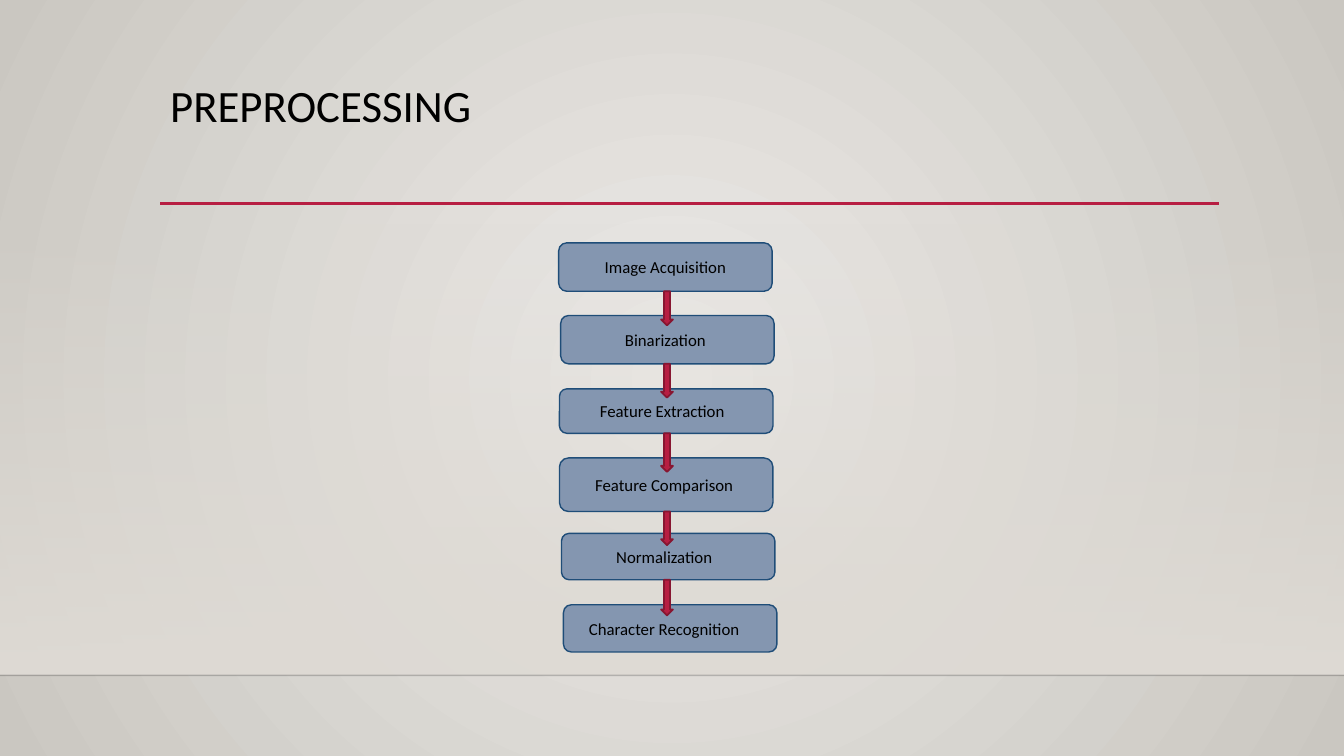
from lxml import etree
from pptx import Presentation
from pptx import util as u
from pptx.dml.color import RGBColor
from pptx.enum import shapes, text
from pptx.oxml.ns import qn

BLACK = RGBColor(0x00, 0x00, 0x00)
FLOOR_LINE = RGBColor(0x00, 0x00, 0x01)
PALE = RGBColor(0xEC, 0xEA, 0xE7)
GREY = RGBColor(0xCA, 0xC7, 0xC1)
WALL = RGBColor(0xDF, 0xDB, 0xD5)
CRIMSON = RGBColor(0xB7, 0x1E, 0x42)
DARK_CRIMSON = RGBColor(0x87, 0x16, 0x31)
STEEL = RGBColor(0x84, 0x96, 0xB0)
NAVY = RGBColor(0x1F, 0x4D, 0x78)

WIDTH, HEIGHT = 33.87, 19.05
BOX_WIDTH = 5.38
ARROW_LEFT, ARROW_WIDTH = 16.66, 0.3

# label, left, top, height, extra right inset, overlap of the arrow coming in
STEPS = [
    ("Image Acquisition", 14.08, 6.12, 1.22, 0, 0),
    ("Binarization", 14.13, 7.95, 1.22, 0.1, 0.25),
    ("Feature Extraction", 14.1, 9.8, 1.12, 0.2, 0.22),
    ("Feature Comparison", 14.1, 11.54, 1.35, 0.1, 0.35),
    ("Normalization", 14.15, 13.44, 1.17, 0.2, 0.3),
    ("Character Recognition", 14.2, 15.24, 1.19, 0.3, 0.27),
]


class SlideBuilder:
    font = {"name": "Calibri", "color": BLACK}

    def __init__(self, presentation):
        self.slide = presentation.slides.add_slide(presentation.slide_layouts[6])

    def set_alpha(self, properties, percent):
        color = properties.find(".//" + qn("a:srgbClr"))
        etree.SubElement(color, qn("a:alpha"), val=str(percent * 1000))

    def gradient(self, fill, start, end):
        fill.gradient()
        for stop, position, color in zip(fill.gradient_stops, (0, 1), (start, end)):
            stop.position = position
            stop.color.rgb = color

    def background(self, center, edge):
        self.gradient(self.slide.background.fill, center, edge)
        gradient = self.slide.element.find(".//" + qn("a:gradFill"))
        gradient.remove(gradient.find(qn("a:lin")))
        circle = etree.SubElement(gradient, qn("a:path"), {"path": "circle"})
        etree.SubElement(circle, qn("a:fillToRect"), dict.fromkeys("ltrb", "50000"))

    def shape(self, kind, left, top, width, height, fill=None, line=None, weight=1):
        shape = self.slide.shapes.add_shape(
            kind, u.Cm(left), u.Cm(top), u.Cm(width), u.Cm(height))
        shape.shadow.inherit = False
        if fill is not None:
            shape.fill.solid()
            shape.fill.fore_color.rgb = fill
        if line is None:
            shape.line.fill.background()
        else:
            shape.line.color.rgb = line
            shape.line.width = u.Pt(weight)
        return shape

    def wall(self, top, height, color):
        shape = self.shape(shapes.MSO_SHAPE.RECTANGLE, 0, top, WIDTH, height)
        self.gradient(shape.fill, color, color)
        shape.fill.gradient_angle = 270
        self.set_alpha(shape.element.spPr, 0)

    def rule(self, left, right, y, color, weight, alpha=100):
        connector = self.slide.shapes.add_connector(
            shapes.MSO_CONNECTOR.STRAIGHT, u.Cm(left), u.Cm(y), u.Cm(right), u.Cm(y))
        connector.line.color.rgb = color
        connector.line.width = u.Pt(weight)
        properties = connector.element.spPr
        if alpha < 100:
            self.set_alpha(properties, alpha)
        etree.SubElement(properties, qn("a:effectLst"))

    def add_words(self, shape, words, size, align, anchor, spacing=1.0, extra_inset=0):
        frame = shape.text_frame
        frame_format = {"word_wrap": True, "vertical_anchor": anchor,
                        "margin_right": u.Cm(0.25 + extra_inset)}
        for name, value in frame_format.items():
            setattr(frame, name, value)
        paragraph = frame.paragraphs[0]
        for name, value in {"alignment": align, "line_spacing": spacing}.items():
            setattr(paragraph, name, value)
        run = paragraph.add_run()
        run.text = words
        for name, value in {"name": self.font["name"], "size": u.Pt(size)}.items():
            setattr(run.font, name, value)
        run.font.color.rgb = self.font["color"]

    def title(self, words, left, top, width, height):
        box = self.slide.shapes.add_textbox(
            u.Cm(left), u.Cm(top), u.Cm(width), u.Cm(height))
        self.add_words(box, words, 32, text.PP_ALIGN.LEFT, text.MSO_ANCHOR.TOP,
                       spacing=0.9)

    def step(self, label, left, top, height, extra_inset):
        box = self.shape(shapes.MSO_SHAPE.ROUNDED_RECTANGLE,
                         left, top, BOX_WIDTH, height, STEEL, NAVY)
        self.add_words(box, label, 12, text.PP_ALIGN.CENTER, text.MSO_ANCHOR.MIDDLE,
                       extra_inset=extra_inset)

    def arrow(self, top, bottom):
        self.shape(shapes.MSO_SHAPE.DOWN_ARROW, ARROW_LEFT, top, ARROW_WIDTH,
                   bottom - top, CRIMSON, DARK_CRIMSON, 1.25)


def main():
    presentation = Presentation()
    presentation.slide_width = u.Cm(WIDTH)
    presentation.slide_height = u.Cm(HEIGHT)
    builder = SlideBuilder(presentation)

    # Backdrop and rules
    builder.background(PALE, GREY)
    builder.wall(5.61, 11.4, WALL)
    builder.rule(0, WIDTH, 17.02, FLOOR_LINE, 1, alpha=20)
    builder.rule(4.04, 30.73, 5.13, CRIMSON, 2.5)

    # Title
    builder.title("PREPROCESSING", 4.04, 1.98, 26.06, 2)

    # Flow of steps, then the arrows over them
    for label, left, top, height, extra_inset, _ in STEPS:
        builder.step(label, left, top, height, extra_inset)
    for (_, _, top, height, _, _), (_, _, next_top, _, _, overlap) in zip(STEPS, STEPS[1:]):
        builder.arrow(top + height, next_top + overlap)

    presentation.save("out.pptx")


if __name__ == "__main__":
    main()
